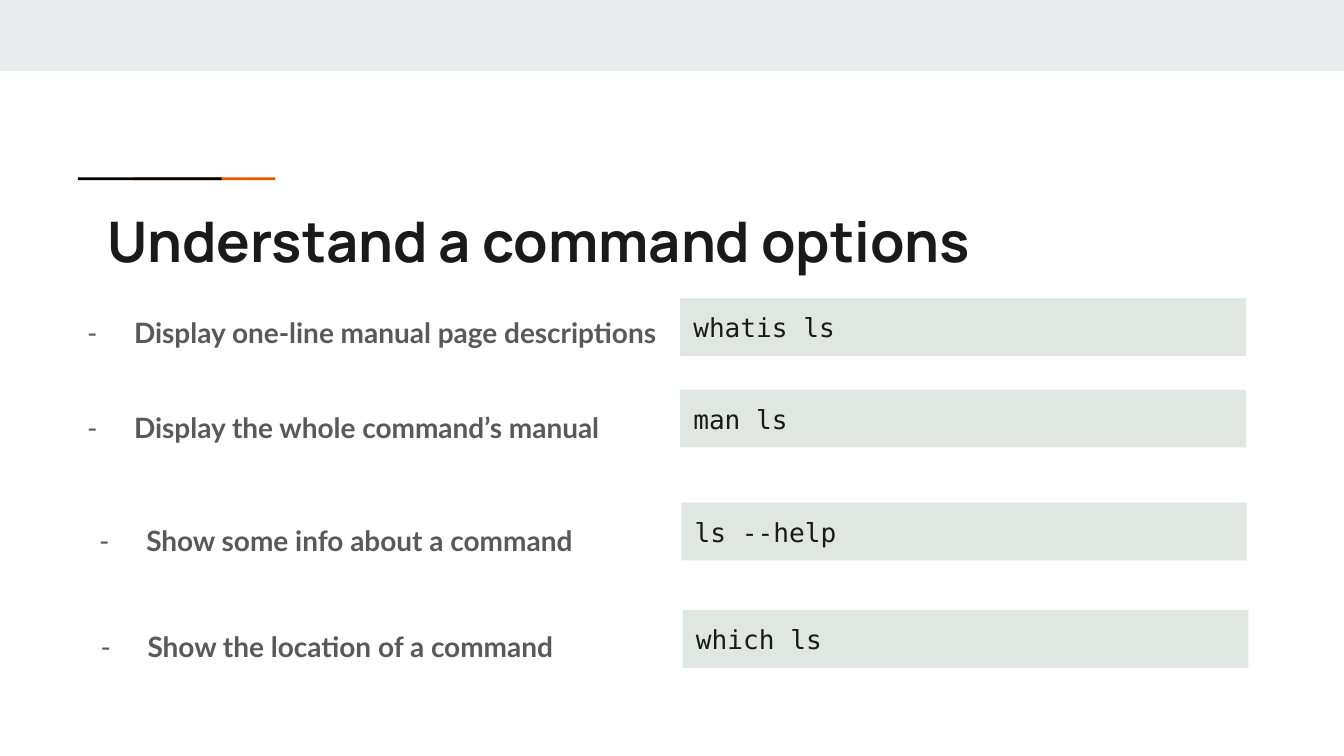
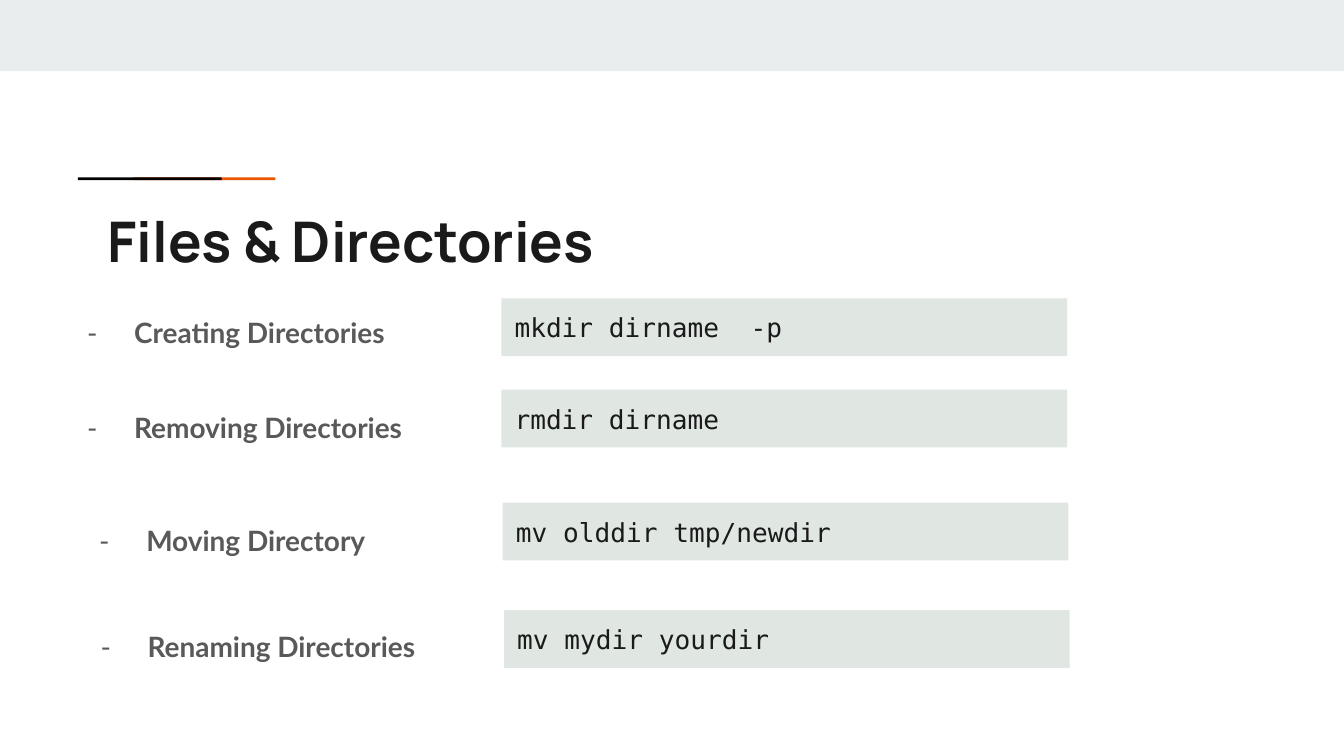
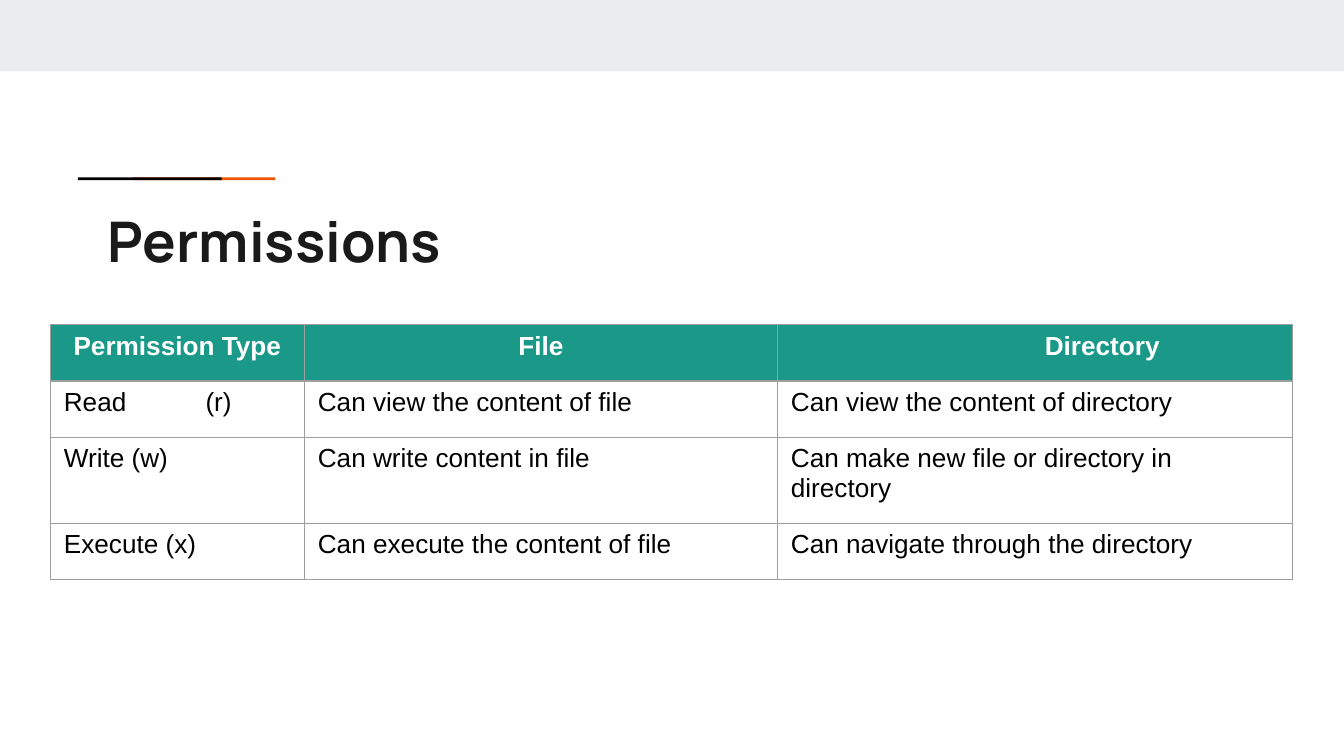
from dataclasses import dataclass

from pptx import Presentation
from pptx.dml.color import RGBColor
from pptx.enum.shapes import MSO_SHAPE as Preset
from pptx.enum.text import MSO_ANCHOR as Anchor, PP_ALIGN as Align
from pptx.oxml.ns import qn
from pptx.oxml.xmlchemy import OxmlElement as make_element
from pptx.util import Pt

PX = 4572  # EMU per px, 200 px to the inch


@dataclass(frozen=True)
class Theme:
    band: str = "E9EDEE"
    orange: str = "EB5600"
    black: str = "000000"
    command_fill: str = "255235"
    command_alpha: int = 14000
    header_fill: str = "1A9988"
    border: str = "9E9E9E"
    title: tuple = ("Manrope", 30, True, "1A1A1A")
    label: tuple = ("Lato", 15, True, "595959")
    command: tuple = ("DejaVu Sans Mono", 14, False, "1A1A1A")
    header: tuple = ("Arial", 14, True, "FFFFFF")
    body: tuple = ("Arial", 14, False, "000000")


theme = Theme()


def add_bar(slide, box, color):
    bar = slide.shapes.add_shape(Preset.RECTANGLE, *(value * PX for value in box))
    bar.shadow.inherit = False
    bar.line.fill.background()
    bar.fill.solid()
    bar.fill.fore_color.rgb = RGBColor.from_string(color)
    return bar


def write_text(frame, text, style, margins):
    """Fill a text frame with one left-aligned, styled paragraph and return it."""
    left, top, right, bottom = (value * PX for value in margins)
    frame_format = {
        "word_wrap": True, "vertical_anchor": Anchor.TOP,
        "margin_left": left, "margin_top": top,
        "margin_right": right, "margin_bottom": bottom,
    }
    for name, value in frame_format.items():
        setattr(frame, name, value)
    paragraph = frame.paragraphs[0]
    paragraph.alignment = Align.LEFT
    run = paragraph.add_run()
    run.text = text
    family, size, bold, color = style
    for name, value in {"name": family, "size": Pt(size), "bold": bold}.items():
        setattr(run.font, name, value)
    run.font.color.rgb = RGBColor.from_string(color)
    return paragraph


presentation = Presentation()
presentation.slide_width = 2000 * PX
presentation.slide_height = 1125 * PX

# Title, left edge of the commands, rows of (label, label width, command)
command_slides = [
    ("Understand a command options", 1012, [
        ("Display one-line manual page descriptions", 932, "whatis ls"),
        ("Display the whole command’s manual", 872, "man ls"),
        ("Show some info about a command", 872, "ls --help"),
        ("Show the location of a command", 912, "which ls"),
    ]),
    ("Files & Directories", 746, [
        ("Creating Directories", 688, "mkdir dirname  -p"),
        ("Removing Directories", 652, "rmdir dirname"),
        ("Moving Directory", 652, "mv olddir tmp/newdir"),
        ("Renaming Directories", 652, "mv mydir yourdir"),
    ]),
]
# Label left, label top, command shift, command top
row_places = [(80, 442, 0, 444), (80, 584, 0, 580), (98, 752, 2, 748), (100, 910, 4, 908)]

permission_rows = [
    ("Permission Type", "File", "\tDirectory"),
    ("Read\t (r)", "Can view the content of file", "Can view the content of directory"),
    ("Write (w)", "Can write content in file", "Can make new file or directory in directory"),
    ("Execute (x)", "Can execute the content of file", "Can navigate through the directory"),
]
column_widths = [378, 704, 767]
row_heights = [84, 84, 128, 84]

# Shared band, accent line and title
titles = [title for title, _, _ in command_slides] + ["Permissions"]
for title in titles:
    slide = presentation.slides.add_slide(presentation.slide_layouts[6])
    add_bar(slide, (0, 0, 2000, 106), theme.band)
    add_bar(slide, (198, 264, 212, 4), theme.orange)
    add_bar(slide, (116, 264, 214, 4), theme.black)
    title_box = slide.shapes.add_textbox(160 * PX, 288 * PX, 1682 * PX, 118 * PX)
    write_text(title_box.text_frame, title, theme.title, (0, 20, 0, 20))

# Labels and their commands
for slide, (_, command_left, rows) in zip(presentation.slides, command_slides):
    for (label, label_width, command), place in zip(rows, row_places):
        label_left, label_top, command_shift, command_top = place

        command_box = add_bar(
            slide, (command_left + command_shift, command_top, 842, 86), theme.command_fill)
        alpha = make_element("a:alpha")
        alpha.set("val", str(theme.command_alpha))
        command_box.fill._xPr.find(qn("a:solidFill"))[0].append(alpha)
        write_text(command_box.text_frame, command, theme.command, (20, 20, 20, 20))

        label_box = slide.shapes.add_textbox(
            label_left * PX, label_top * PX, label_width * PX, 98 * PX)
        paragraph = write_text(label_box.text_frame, label, theme.label, (20, 20, 20, 20))
        paragraph.line_spacing = 1.15
        properties = paragraph._p.get_or_add_pPr()
        properties.set("marL", str(100 * PX))
        properties.set("indent", str(-70 * PX))
        bullet_color = make_element("a:buClr")
        color = make_element("a:srgbClr")
        color.set("val", theme.label[-1])
        bullet_color.append(color)
        bullet_font = make_element("a:buFont")
        bullet_font.set("typeface", theme.label[0])
        bullet = make_element("a:buChar")
        bullet.set("char", "-")
        properties.extend([bullet_color, bullet_font, bullet])

# Permission table
slide = presentation.slides[2]
table = slide.shapes.add_table(
    len(row_heights), len(column_widths), 75 * PX, 483 * PX,
    sum(column_widths) * PX, sum(row_heights) * PX).table
table.first_row = False
table.horz_banding = False
for column, width in zip(table.columns, column_widths):
    column.width = width * PX
for row, height, texts in zip(table.rows, row_heights, permission_rows):
    row.height = height * PX
    is_header = texts is permission_rows[0]
    for cell, text in zip(row.cells, texts):
        for side in ("a:lnL", "a:lnR", "a:lnT", "a:lnB"):
            border = make_element(side)
            border.set("w", str(Pt(0.75)))
            border_fill = make_element("a:solidFill")
            color = make_element("a:srgbClr")
            color.set("val", theme.border)
            border_fill.append(color)
            border.append(border_fill)
            cell._tc.get_or_add_tcPr().append(border)
        if is_header:
            cell.fill.solid()
            cell.fill.fore_color.rgb = RGBColor.from_string(theme.header_fill)
        else:
            cell.fill.background()
        style = theme.header if is_header else theme.body
        paragraph = write_text(cell.text_frame, text, style, (20, 10, 20, 10))
        for name in ("left", "right"):
            setattr(cell, f"margin_{name}", 20 * PX)
        for name in ("top", "bottom"):
            setattr(cell, f"margin_{name}", 10 * PX)
        if is_header:
            paragraph.alignment = Align.CENTER
        if "\t" in text:
            tab_list = make_element("a:tabLst")
            tab = make_element("a:tab")
            tab.set("pos", str(200 * PX))
            tab.set("algn", "l")
            tab_list.append(tab)
            paragraph._p.get_or_add_pPr().append(tab_list)

presentation.save("out.pptx")
